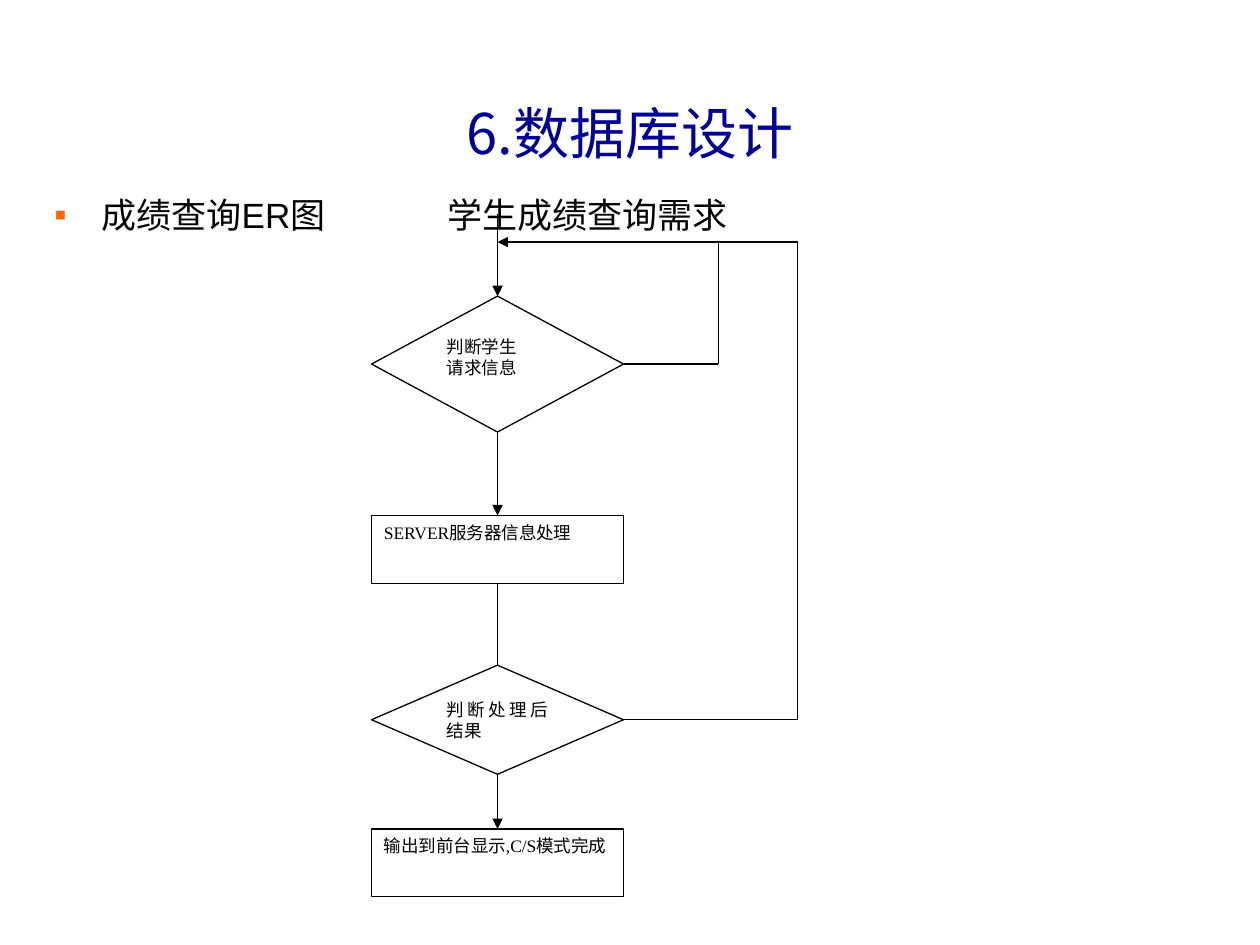
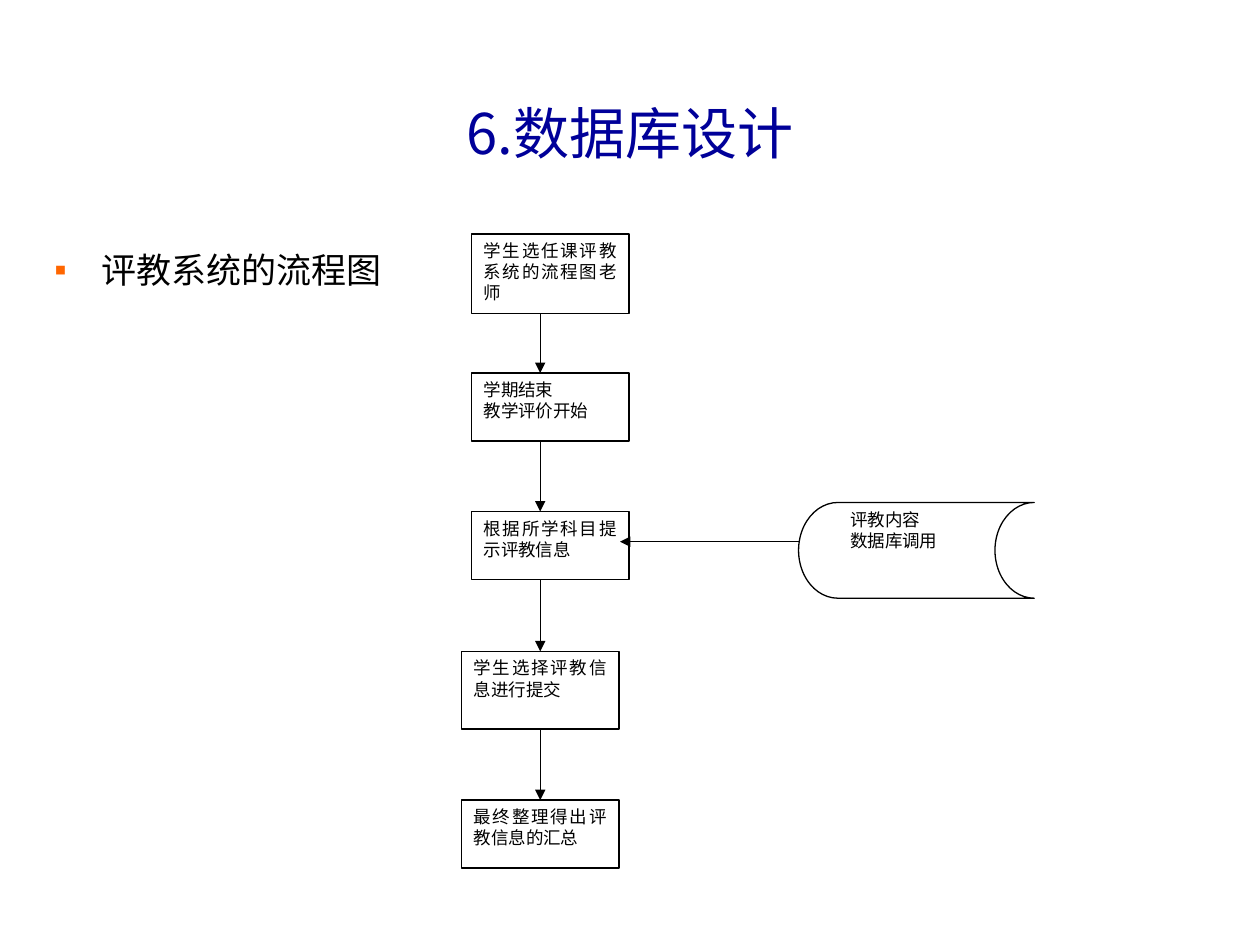
"""Build the two database design flowchart slides."""
from dataclasses import dataclass
from itertools import pairwise
from typing import NamedTuple

from lxml.etree import SubElement
from pptx import Presentation
from pptx.dml.color import RGBColor
from pptx.enum.shapes import MSO_CONNECTOR, MSO_SHAPE
from pptx.enum.text import MSO_ANCHOR, PP_ALIGN
from pptx.oxml.ns import qn
from pptx.util import Cm, Pt


@dataclass(frozen=True)
class Theme:
    """Colours, fonts and type sizes of the deck."""
    title: RGBColor = RGBColor(0x00, 0x00, 0x99)
    ink: RGBColor = RGBColor(0x00, 0x00, 0x00)
    paper: RGBColor = RGBColor(0xFF, 0xFF, 0xFF)
    bullet: str = "FF6600"
    cjk_font: str = "Noto Sans CJK SC"
    body_font: str = "Arial"
    node_font: str = "Times New Roman"
    title_size: Pt = Pt(32)
    body_size: Pt = Pt(20)
    node_size: Pt = Pt(10)
    line_width: Pt = Pt(0.75)


class Node(NamedTuple):
    """A flowchart step, measured in centimetres."""
    text: str
    left: float
    top: float
    width: float
    height: float
    kind: MSO_SHAPE = MSO_SHAPE.RECTANGLE


class Join(NamedTuple):
    """A connection site of a shape."""
    sp: object
    site: int


class Line(NamedTuple):
    """A straight line in centimetres, with optional joined ends."""
    x1: float
    y1: float
    x2: float
    y2: float
    arrow: bool = True
    begin: Join | None = None
    end: Join | None = None


THEME = Theme()
TOP, LEFT, BOTTOM, RIGHT = range(4)
TITLE = "6.数据库设计"

QUERY_LEFT, QUERY_WIDTH = 7.49, 5.08
QUERY_X = QUERY_LEFT + QUERY_WIDTH / 2
QUERY_RIGHT = QUERY_LEFT + QUERY_WIDTH
RETURN_Y, INNER_X, OUTER_X = 4.88, 14.48, 16.08
QUERY_NODES = [
    Node("判断学生\n请求信息", QUERY_LEFT, 5.97, QUERY_WIDTH, 2.74, MSO_SHAPE.FLOWCHART_DECISION),
    Node("SERVER服务器信息处理", QUERY_LEFT, 10.39, QUERY_WIDTH, 1.37),
    Node("判断处理后结果", QUERY_LEFT, 13.41, QUERY_WIDTH, 2.2, MSO_SHAPE.FLOWCHART_DECISION),
    Node("输出到前台显示,C/S模式完成", QUERY_LEFT, 16.71, QUERY_WIDTH, 1.37),
]

REVIEW_WIDTH, REVIEW_X = 3.18, 10.89
REVIEW_NODES = [
    Node("学生选任课评教系统的流程图老师", 9.5, 4.72, REVIEW_WIDTH, 1.6),
    Node("学期结束\n教学评价开始", 9.5, 7.52, REVIEW_WIDTH, 1.37),
    Node("根据所学科目提示评教信息", 9.5, 10.31, REVIEW_WIDTH, 1.37),
    Node("学生选择评教信息进行提交", 9.3, 13.13, REVIEW_WIDTH, 1.57),
    Node("最终整理得出评教信息的汇总", 9.3, 16.13, REVIEW_WIDTH, 1.37),
]
STORAGE = Node("评教内容\n数据库调用", 16.1, 10.13, 4.75, 1.93, MSO_SHAPE.FLOWCHART_STORED_DATA)


def format_runs(p, size: Pt, color: RGBColor, font: str) -> None:
    """Give every run of a paragraph its type."""
    for r in p.runs:
        r.font.size, r.font.name = size, font
        r.font.color.rgb = color
        SubElement(r.font._element, qn("a:ea")).set("typeface", THEME.cjk_font)


def place(sp, left: float, top: float, width: float, height: float) -> None:
    """Move a placeholder, in centimetres."""
    sp.left, sp.top, sp.width, sp.height = Cm(left), Cm(top), Cm(width), Cm(height)


def add_bullet(p, tab: float | None) -> None:
    """Add a hanging square bullet and an optional tab stop."""
    ppr = p._p.get_or_add_pPr()
    ppr.set("marL", str(Cm(0.95)))
    ppr.set("indent", str(-Cm(0.95)))
    SubElement(SubElement(ppr, qn("a:buClr")), qn("a:srgbClr")).set("val", THEME.bullet)
    SubElement(ppr, qn("a:buFont")).set("typeface", THEME.body_font)
    SubElement(ppr, qn("a:buChar")).set("char", "▪")
    if tab:
        stop = SubElement(SubElement(ppr, qn("a:tabLst")), qn("a:tab"))
        stop.set("pos", str(Cm(tab)))
        stop.set("algn", "l")


def add_slide(prs, heading: str, top: float, inset: float, tab: float | None = None):
    """Add a slide with the shared title and one bulleted heading."""
    s = prs.slides.add_slide(prs.slide_layouts[1])
    title, body = s.placeholders
    place(title, 0.84, 1.07, 23.72, 3.18)
    title.text_frame.text = TITLE
    title.text_frame.vertical_anchor = MSO_ANCHOR.MIDDLE
    p = title.text_frame.paragraphs[0]
    p.alignment = PP_ALIGN.CENTER
    format_runs(p, THEME.title_size, THEME.title, THEME.cjk_font)

    place(body, 0.84, top, 23.72, 16.74 - top)
    tf = body.text_frame
    tf.text = heading
    tf.margin_top = Cm(inset)
    p = tf.paragraphs[0]
    p.space_before = Pt(0)
    add_bullet(p, tab)
    format_runs(p, THEME.body_size, THEME.ink, THEME.body_font)
    return s


def add_node(s, node: Node):
    """Draw one outlined flowchart step."""
    sp = s.shapes.add_shape(node.kind, Cm(node.left), Cm(node.top), Cm(node.width), Cm(node.height))
    sp.shadow.inherit = False
    sp.fill.solid()
    sp.fill.fore_color.rgb = THEME.paper
    sp.line.color.rgb = THEME.ink
    sp.line.width = THEME.line_width
    tf = sp.text_frame
    tf.text = node.text
    tf.word_wrap = True
    tf.vertical_anchor = MSO_ANCHOR.TOP
    for p in tf.paragraphs:
        p.alignment = PP_ALIGN.JUSTIFY
        format_runs(p, THEME.node_size, THEME.ink, THEME.node_font)
    return sp


def add_line(s, line: Line) -> None:
    """Draw one straight connector."""
    c = s.shapes.add_connector(MSO_CONNECTOR.STRAIGHT, Cm(line.x1), Cm(line.y1), Cm(line.x2), Cm(line.y2))
    if line.begin:
        c.begin_connect(*line.begin)
    if line.end:
        c.end_connect(*line.end)
    c.line.color.rgb = THEME.ink
    c.line.width = THEME.line_width
    if line.arrow:
        SubElement(c.line._get_or_add_ln(), qn("a:tailEnd")).set("type", "triangle")
    SubElement(c._element.spPr, qn("a:effectLst"))


def middle(node: Node) -> float:
    """Return the height of a step's centre."""
    return node.top + node.height / 2


def build_query_slide(prs) -> None:
    """Build the score query flowchart."""
    s = add_slide(prs, "成绩查询ER图\t学生成绩查询需求", 3.33, 0.58, 7.92)
    shapes = [add_node(s, node) for node in QUERY_NODES]
    request, server, result, _ = QUERY_NODES
    steps = zip(pairwise(QUERY_NODES), pairwise(shapes))
    lines = [
        Line(QUERY_X, a.top + a.height, QUERY_X, b.top, a is not server, Join(sp_a, BOTTOM), Join(sp_b, TOP))
        for (a, b), (sp_a, sp_b) in steps
    ]
    lines.append(Line(QUERY_X, 4.32, QUERY_X, request.top, end=Join(shapes[0], TOP)))
    for node, sp, x in ((request, shapes[0], INNER_X), (result, shapes[2], OUTER_X)):
        lines.append(Line(QUERY_RIGHT, middle(node), x, middle(node), False, Join(sp, RIGHT)))
        lines.append(Line(x, middle(node), x, RETURN_Y, False))
    lines.append(Line(OUTER_X, RETURN_Y, QUERY_X, RETURN_Y))
    for line in lines:
        add_line(s, line)


def build_review_slide(prs) -> None:
    """Build the teaching review flowchart."""
    s = add_slide(prs, "评教系统的流程图", 4.88, 0.13)
    shapes = [add_node(s, node) for node in REVIEW_NODES]
    add_node(s, STORAGE)

    def centred(node: Node, sp, site: int) -> Join | None:
        """Join a step only where the arrows meet its centre."""
        return Join(sp, site) if abs(node.left + node.width / 2 - REVIEW_X) < 0.01 else None

    for (a, b), (sp_a, sp_b) in zip(pairwise(REVIEW_NODES), pairwise(shapes)):
        add_line(s, Line(REVIEW_X, a.top + a.height, REVIEW_X, b.top,
                         begin=centred(a, sp_a, BOTTOM), end=centred(b, sp_b, TOP)))
    add_line(s, Line(STORAGE.left, 10.92, 12.5, 10.92))


def main() -> None:
    """Build and save the deck."""
    prs = Presentation()
    prs.slide_width, prs.slide_height = Cm(25.4), Cm(19.05)
    build_query_slide(prs)
    build_review_slide(prs)
    prs.save("out.pptx")


if __name__ == "__main__":
    main()
